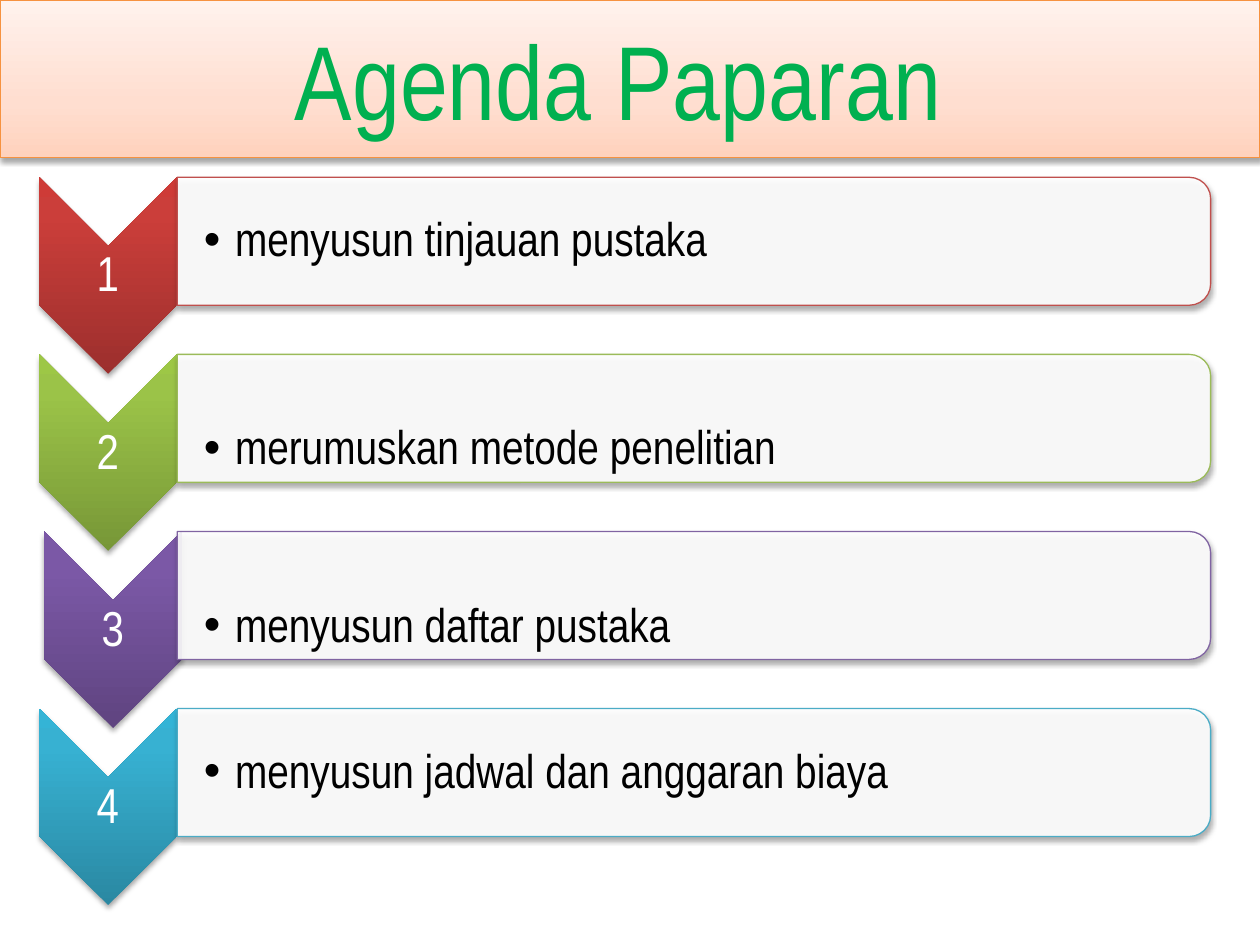
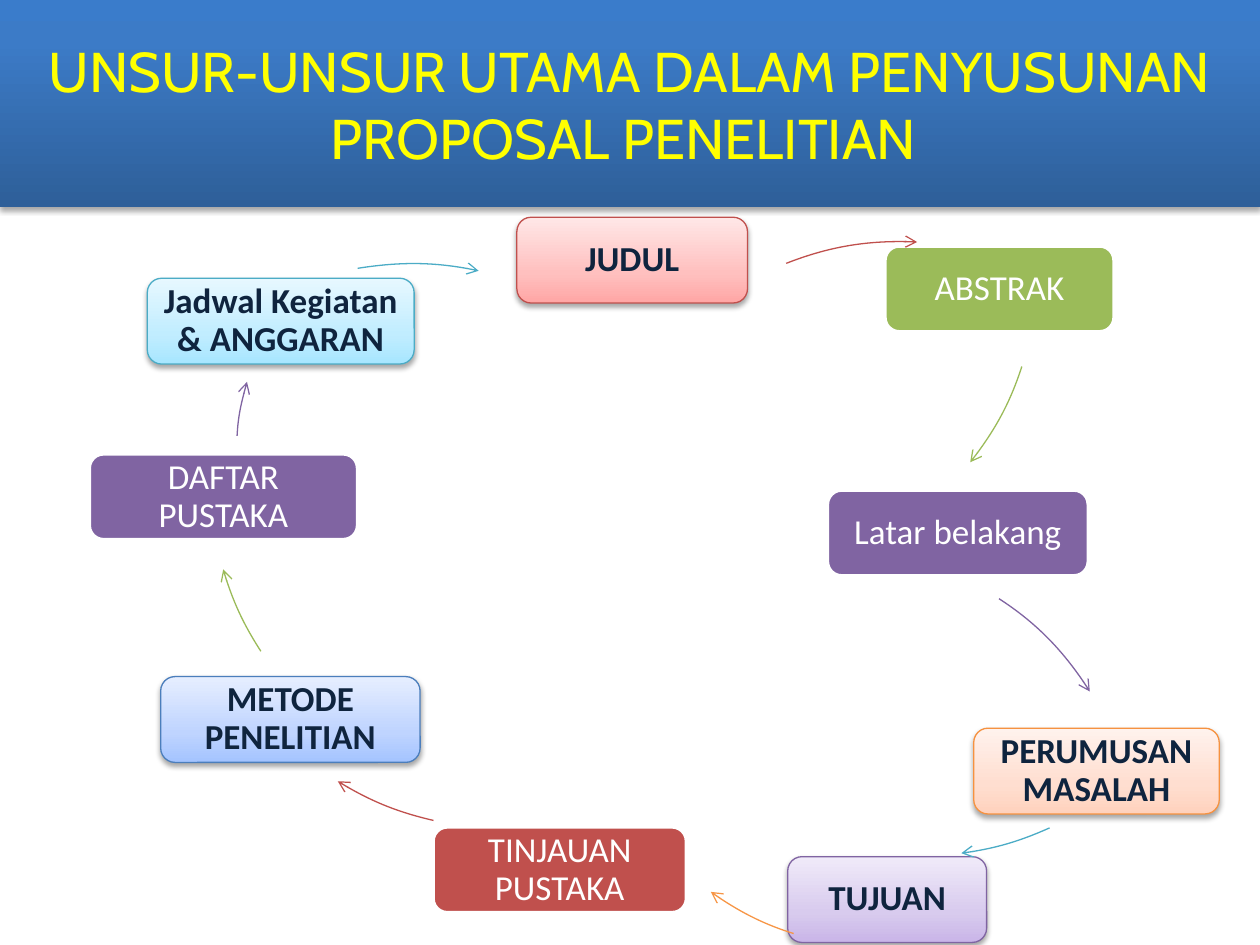
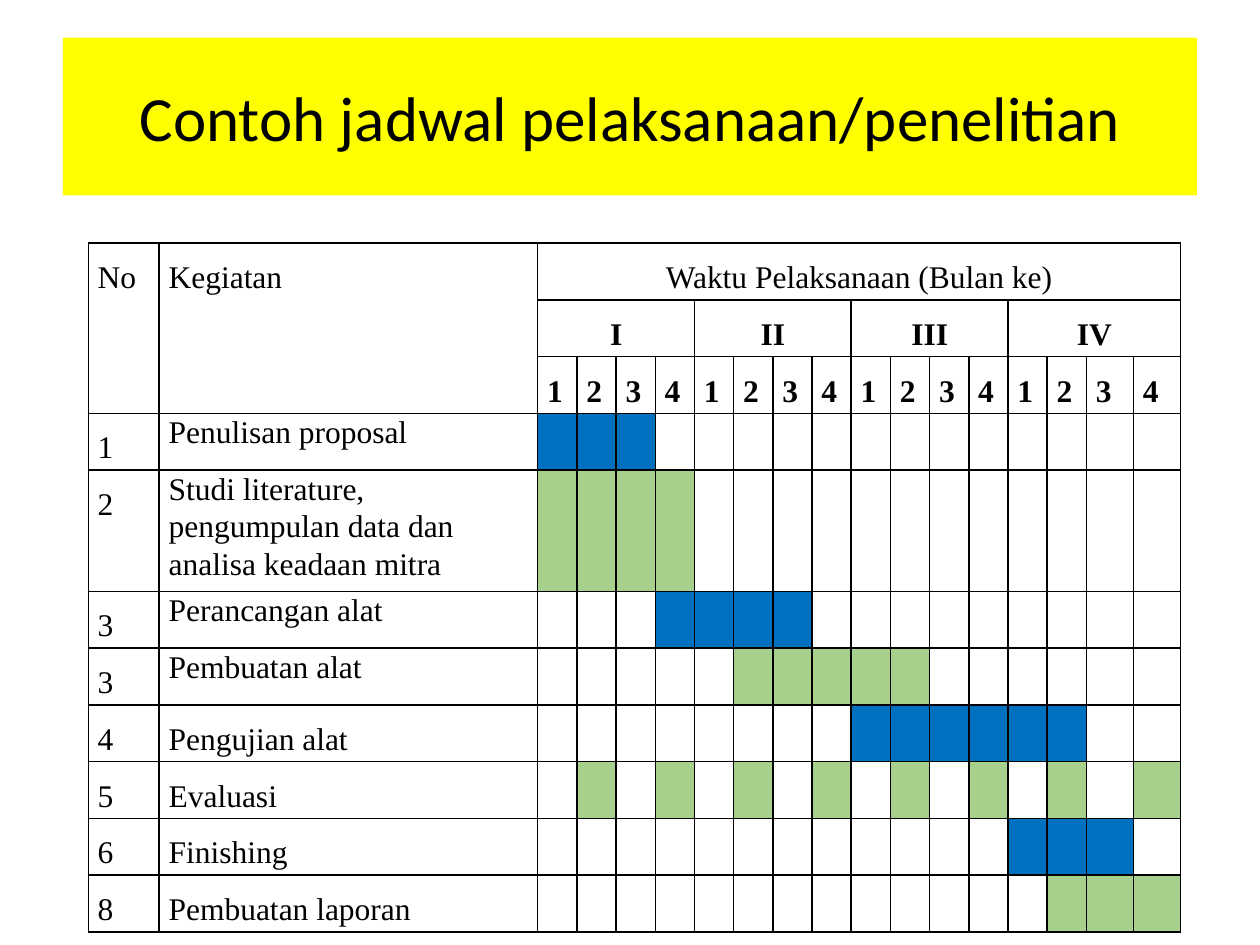
from dataclasses import dataclass
from typing import Any, NamedTuple, Optional, Sequence

from lxml.etree import SubElement
from pptx import Presentation
from pptx.dml.color import RGBColor
from pptx.enum.shapes import MSO_SHAPE
from pptx.enum.text import MSO_ANCHOR, PP_ALIGN
from pptx.oxml.ns import qn
from pptx.util import Cm, Pt

WHITE = RGBColor.from_string("FFFFFF")
BLACK = RGBColor.from_string("000000")
NAVY = RGBColor.from_string("0F243E")
YELLOW = RGBColor.from_string("FFFF00")
TITLE_GREEN = RGBColor.from_string("00B050")
RED = RGBColor.from_string("C0504D")
GREEN = RGBColor.from_string("9BBB59")
PURPLE = RGBColor.from_string("8064A2")
AQUA = RGBColor.from_string("4BACC6")
ORANGE = RGBColor.from_string("F79646")
BLUE_EDGE = RGBColor.from_string("4B7EBC")
ORANGE_EDGE = RGBColor.from_string("F69240")
WEEK_BLUE = RGBColor.from_string("0070C0")
WEEK_GREEN = RGBColor.from_string("A8D08D")


class Stop(NamedTuple):
    position: int
    color: RGBColor


Gradient = tuple[Stop, ...]


def gradient(middle: int, *colors: str) -> Gradient:
    return tuple(Stop(pos, RGBColor.from_string(c)) for pos, c in zip((0, middle, 100), colors))


PALE_RED = gradient(35, "FFA6A5", "FFC0BF", "FFE7E7")
PALE_ORANGE = gradient(35, "FFD2BD", "FFDED0", "FFF2ED")
PALE_PURPLE = gradient(35, "C9B5E8", "D8CBEE", "F0EAF9")
PALE_BLUE = gradient(35, "A4C4FF", "BFD4FF", "E6EEFF")
PALE_AQUA = gradient(35, "A7E6FF", "C1EDFF", "E7F8FF")
DEEP_RED = gradient(80, "9C2F2D", "CB3E3A", "CE3B37")
DEEP_GREEN = gradient(80, "779737", "9BC348", "9DC746")
DEEP_PURPLE = gradient(80, "5F4480", "7B58A6", "7C57A8")
DEEP_AQUA = gradient(80, "2A88A2", "37B1D2", "34B4D6")
DEEP_BLUE = gradient(80, "2E5F99", "3C7BC7", "3A7CCB")


class Box(NamedTuple):
    left: float
    top: float
    width: float
    height: float


@dataclass(frozen=True)
class TextStyle:
    font: str
    size: int
    color: RGBColor
    bold: bool = False
    align: PP_ALIGN = PP_ALIGN.CENTER
    spacing: float = 1.0


@dataclass(frozen=True)
class AgendaItem:
    text: str
    chevron: Gradient
    edge: RGBColor
    shift: float = 0
    top_inset: float = 0.05


@dataclass(frozen=True)
class Node:
    text: str
    left: float
    top: float
    width: float
    fill: RGBColor | Gradient
    edge: RGBColor = WHITE


class Arrow(NamedTuple):
    color: RGBColor
    circle_left: float
    circle_top: float
    points: Sequence[tuple[float, float]]


@dataclass(frozen=True)
class Activity:
    number: str
    name: str
    color: RGBColor
    weeks: range
    spacing: float = 1.5
    align: PP_ALIGN = PP_ALIGN.LEFT


AGENDA = [
    AgendaItem("menyusun tinjauan pustaka", DEEP_RED, RED),
    AgendaItem("merumuskan metode penelitian", DEEP_GREEN, GREEN, top_inset=1.3),
    AgendaItem("menyusun daftar pustaka", DEEP_PURPLE, PURPLE, shift=0.1, top_inset=1.3),
    AgendaItem("menyusun jadwal dan anggaran biaya", DEEP_AQUA, AQUA),
]
NODES = [
    Node("JUDUL", 10.42, 4.38, 4.65, PALE_RED, RED),
    Node("ABSTRAK", 17.84, 4.96, 4.62, GREEN),
    Node("Latar belakang", 16.68, 9.88, 5.26, PURPLE),
    Node("PERUMUSAN MASALAH", 19.63, 14.68, 4.95, PALE_ORANGE, ORANGE_EDGE),
    Node("TUJUAN", 15.88, 17.27, 4.01, PALE_PURPLE, PURPLE),
    Node("TINJAUAN PUSTAKA", 8.73, 16.67, 5.11, RED),
    Node("METODE PENELITIAN", 3.24, 13.64, 5.23, PALE_BLUE, BLUE_EDGE),
    Node("DAFTAR PUSTAKA", 1.8, 9.15, 5.41, PURPLE),
    Node("Jadwal Kegiatan & ANGGARAN", 2.97, 5.61, 5.38, PALE_AQUA, AQUA),
]
CIRCLE = 13.34
ARROWS = [
    Arrow(RED, 11.56, 4.85, [(15.85, 5.31), (16.69, 4.98), (17.58, 4.83), (18.49, 4.88)]),
    Arrow(GREEN, 7.59, -1.4, [(20.6, 7.39), (20.37, 8.1), (20.02, 8.74), (19.56, 9.32)]),
    Arrow(PURPLE, 9.7, 10.9, [(20.14, 12.07), (20.88, 12.55), (21.49, 13.18), (21.97, 13.94)]),
    Arrow(AQUA, 11.79, 3.94, [(21.16, 16.69), (20.6, 16.94), (20.02, 17.12), (19.38, 17.2)]),
    Arrow(ORANGE, 11.46, 5.84, [(16, 18.82), (15.42, 18.64), (14.83, 18.34), (14.33, 17.98)]),
    Arrow(RED, 3.61, 3.4, [(8.74, 16.54), (8.05, 16.38), (7.42, 16.13), (6.81, 15.75)]),
    Arrow(GREEN, 4.22, 2.92, [(5.26, 13.13), (4.93, 12.62), (4.67, 12.07), (4.5, 11.48)]),
    Arrow(PURPLE, 4.75, 2.74, [(4.78, 8.79), (4.8, 8.41), (4.88, 8.05), (4.98, 7.7)]),
    Arrow(AQUA, 1.68, 5.33, [(7.21, 5.41), (8.03, 5.28), (8.84, 5.28), (9.65, 5.46)]),
]
ACTIVITIES = [
    Activity("1", "Penulisan proposal", WEEK_BLUE, range(3), 1.07, PP_ALIGN.JUSTIFY),
    Activity("2", "Studi literature, pengumpulan data dan analisa keadaan mitra",
             WEEK_GREEN, range(4), 1.07),
    Activity("3", "Perancangan alat", WEEK_BLUE, range(3, 7), 1.07, PP_ALIGN.JUSTIFY),
    Activity("3", "Pembuatan alat", WEEK_GREEN, range(5, 10), 1.07),
    Activity("4", "Pengujian alat", WEEK_BLUE, range(8, 14)),
    Activity("5", "Evaluasi", WEEK_GREEN, range(1, 16, 2)),
    Activity("6", "Finishing", WEEK_BLUE, range(12, 15)),
    Activity("8", "Pembuatan laporan", WEEK_GREEN, range(13, 16)),
]
MONTHS = ("I", "II", "III", "IV")
WEEKS = 4
HEADER_ROWS = 3
LABEL_COLS = 2


def set_format(obj: Any, values: dict[str, Any]) -> None:
    for name, value in values.items():
        setattr(obj, name, value)


def write(tf: Any, text: str, style: TextStyle,
          insets: Optional[tuple[float, float, float, float]] = None,
          bullet: bool = False) -> None:
    set_format(tf, {"word_wrap": True, "vertical_anchor": MSO_ANCHOR.MIDDLE})
    if insets:
        sides = ("margin_left", "margin_top", "margin_right", "margin_bottom")
        set_format(tf, {side: Cm(v) for side, v in zip(sides, insets)})
    write_paragraph(tf.paragraphs[0], text, style, bullet)


def write_paragraph(p: Any, text: str, style: TextStyle, bullet: bool = False) -> None:
    set_format(p, {"alignment": style.align, "line_spacing": style.spacing})
    if bullet:
        pPr = p._p.get_or_add_pPr()
        pPr.set("marL", str(Cm(0.63)))
        pPr.set("indent", str(-Cm(0.63)))
        SubElement(pPr, qn("a:buFont"), typeface="Arial")
        SubElement(pPr, qn("a:buChar"), char="•")
    r = p.add_run()
    r.text = text
    set_format(r.font, {"name": style.font, "size": Pt(style.size), "bold": style.bold})
    r.font.color.rgb = style.color


def paint(sp: Any, fill: RGBColor | Gradient) -> None:
    if isinstance(fill, RGBColor):
        sp.fill.solid()
        sp.fill.fore_color.rgb = fill
        return
    sp.fill.gradient()
    sp.fill.gradient_angle = 90
    grad = sp._element.spPr.find(qn("a:gradFill"))
    grad.set("rotWithShape", "0")
    stops = grad.find(qn("a:gsLst"))
    for old in list(stops):
        stops.remove(old)
    for stop in fill:
        gs = SubElement(stops, qn("a:gs"), pos=str(stop.position * 1000))
        SubElement(gs, qn("a:srgbClr"), val=str(stop.color))


def outline(sp: Any, color: Optional[RGBColor], width: float = 0.75) -> None:
    if color is None:
        sp.line.fill.background()
    else:
        sp.line.color.rgb = color
        sp.line.width = Pt(width)


def cast_shadow(sp: Any) -> None:
    effects = sp._element.spPr.find(qn("a:effectLst"))
    shadow = SubElement(effects, qn("a:outerShdw"), blurRad=str(Pt(3.1)),
                        dist=str(Pt(1.8)), dir="5400000", rotWithShape="0")
    color = SubElement(shadow, qn("a:srgbClr"), val=str(BLACK))
    SubElement(color, qn("a:alpha"), val="35000")


def add_box(s: Any, kind: MSO_SHAPE, box: Box, fill: RGBColor | Gradient,
            edge: Optional[RGBColor] = None, width: float = 0.75,
            shadow: bool = False, rotation: int = 0) -> Any:
    sp = s.shapes.add_shape(kind, *(Cm(v) for v in box))
    sp.rotation = rotation
    paint(sp, fill)
    outline(sp, edge, width)
    sp.shadow.inherit = False
    if shadow:
        cast_shadow(sp)
    return sp


def add_title(s: Any, text: str, box: Box, style: TextStyle, fill: RGBColor | Gradient,
              edge: Optional[RGBColor] = None, shadow: bool = False) -> None:
    sp = add_box(s, MSO_SHAPE.RECTANGLE, box, fill, edge, shadow=shadow)
    write(sp.text_frame, text, style)


def add_agenda_item(s: Any, index: int, item: AgendaItem) -> None:
    y = 3.57 * index
    add_box(s, MSO_SHAPE.CHEVRON, Box(0.2 + item.shift, 4.17 + y, 3.96, 2.77),
            item.chevron, shadow=True, rotation=90)
    number = s.shapes.add_textbox(Cm(0.79 + item.shift), Cm(4.97 + y), Cm(2.77), Cm(1.19))
    write(number.text_frame, str(index + 1),
          TextStyle("Arial Narrow", 28, WHITE, spacing=0.9), (0.05,) * 4)
    bar = add_box(s, MSO_SHAPE.ROUND_2_SAME_RECTANGLE, Box(12.7, -5.55 + y, 2.58, 20.83),
                  WHITE, item.edge, shadow=True, rotation=90)
    color = bar._element.spPr.find(qn("a:solidFill"))[0]
    SubElement(color, qn("a:alpha"), val="90000")
    label = s.shapes.add_textbox(Cm(3.58), Cm(3.7 + y), Cm(20.7), Cm(2.34))
    write(label.text_frame, item.text,
          TextStyle("Arial Narrow", 27, BLACK, align=PP_ALIGN.LEFT, spacing=0.9),
          (0.53, item.top_inset, 0.05, 0.05), bullet=True)


def add_node(s: Any, node: Node) -> None:
    flat = isinstance(node.fill, RGBColor)
    sp = add_box(s, MSO_SHAPE.ROUNDED_RECTANGLE, Box(node.left, node.top, node.width, 1.73),
                 node.fill, node.edge, 2 if flat else 0.75, shadow=not flat)
    style = TextStyle("Calibri", 20, WHITE if flat else NAVY, bold=not flat, spacing=0.9)
    write(sp.text_frame, node.text, style, (0.2,) * 4)


def add_arrow(s: Any, arrow: Arrow) -> None:
    start, *rest = [(Cm(x), Cm(y)) for x, y in arrow.points]
    builder = s.shapes.build_freeform(*start)
    builder.add_line_segments(rest, close=False)
    sp = builder.convert_to_shape()
    curve = next(sp._element.iter(qn("a:path")))
    bezier = SubElement(curve, qn("a:cubicBezTo"))
    for segment in curve.findall(qn("a:lnTo")):
        bezier.append(segment[0])
        curve.remove(segment)
    left, top, size = Cm(arrow.circle_left), Cm(arrow.circle_top), Cm(CIRCLE)
    for pt in curve.iter(qn("a:pt")):
        pt.set("x", str(int(pt.get("x")) + sp.left - left))
        pt.set("y", str(int(pt.get("y")) + sp.top - top))
    for side in ("w", "h"):
        curve.set(side, str(size))
    set_format(sp, {"left": left, "top": top, "width": size, "height": size})
    sp.fill.background()
    outline(sp, arrow.color)
    sp.shadow.inherit = False
    SubElement(sp._element.spPr.find(qn("a:ln")), qn("a:tailEnd"), type="arrow")


def format_cell(cell: Any) -> None:
    set_format(cell, {"margin_left": Cm(0.19), "margin_right": Cm(0.19),
                      "margin_top": 0, "margin_bottom": 0})
    tcPr = cell._tc.get_or_add_tcPr()
    for side in ("lnL", "lnR", "lnT", "lnB"):
        ln = SubElement(tcPr, qn(f"a:{side}"), w=str(Pt(1)))
        SubElement(SubElement(ln, qn("a:solidFill")), qn("a:srgbClr"), val=str(BLACK))
    cell.fill.background()


def fill_cell(cell: Any, text: str, bold: bool = False,
              align: PP_ALIGN = PP_ALIGN.LEFT, spacing: float = 1.5) -> None:
    write_paragraph(cell.text_frame.paragraphs[0], text,
                    TextStyle("Times New Roman", 18, BLACK, bold, align, spacing))


def add_schedule(s: Any) -> None:
    widths = [1.43, 7.63] + [0.79] * 14 + [0.95] * 2
    heights = [1.14] * 4 + [2.26] + [1.13] * 6
    frame = s.shapes.add_table(len(heights), len(widths), Cm(1.78), Cm(4.9),
                               Cm(sum(widths)), Cm(sum(heights)))
    table = frame.table
    set_format(table, {"first_row": False, "horz_banding": False})
    for col, width in zip(table.columns, widths):
        col.width = Cm(width)
    for row, height in zip(table.rows, heights):
        row.height = Cm(height)
    for cell in table.iter_cells():
        format_cell(cell)

    for col, text in enumerate(("No", "Kegiatan")):
        table.cell(0, col).merge(table.cell(HEADER_ROWS - 1, col))
        fill_cell(table.cell(0, col), text)
    table.cell(0, LABEL_COLS).merge(table.cell(0, len(widths) - 1))
    fill_cell(table.cell(0, LABEL_COLS), "Waktu Pelaksanaan (Bulan ke)", align=PP_ALIGN.CENTER)
    for m, month in enumerate(MONTHS):
        first = LABEL_COLS + m * WEEKS
        table.cell(1, first).merge(table.cell(1, first + WEEKS - 1))
        fill_cell(table.cell(1, first), month, True, PP_ALIGN.CENTER)
        for week in range(WEEKS):
            fill_cell(table.cell(2, first + week), str(week + 1), True)

    for row, activity in enumerate(ACTIVITIES, HEADER_ROWS):
        fill_cell(table.cell(row, 0), activity.number)
        fill_cell(table.cell(row, 1), activity.name, align=activity.align,
                  spacing=activity.spacing)
        for week in activity.weeks:
            paint(table.cell(row, LABEL_COLS + week), activity.color)


def main() -> None:
    prs = Presentation()
    set_format(prs, {"slide_width": Cm(25.4), "slide_height": Cm(19.05)})
    agenda, elements, schedule = (prs.slides.add_slide(prs.slide_layouts[6]) for _ in range(3))

    add_title(agenda, "Agenda Paparan ", Box(0, 0, 25.4, 3.18),
              TextStyle("Arial Narrow", 60, TITLE_GREEN), PALE_ORANGE, ORANGE_EDGE, True)
    for index, item in enumerate(AGENDA):
        add_agenda_item(agenda, index, item)

    add_title(elements, "UNSUR-UNSUR UTAMA DALAM PENYUSUNAN PROPOSAL PENELITIAN ",
              Box(0, 0, 25.4, 4.17), TextStyle("Cabin", 32, YELLOW), DEEP_BLUE, shadow=True)
    for node in NODES:
        add_node(elements, node)
    for arrow in ARROWS:
        add_arrow(elements, arrow)

    add_title(schedule, "Contoh jadwal pelaksanaan/penelitian", Box(1.27, 0.76, 22.86, 3.18),
              TextStyle("Calibri", 36, BLACK), YELLOW)
    add_schedule(schedule)
    prs.save("out.pptx")


if __name__ == "__main__":
    main()
